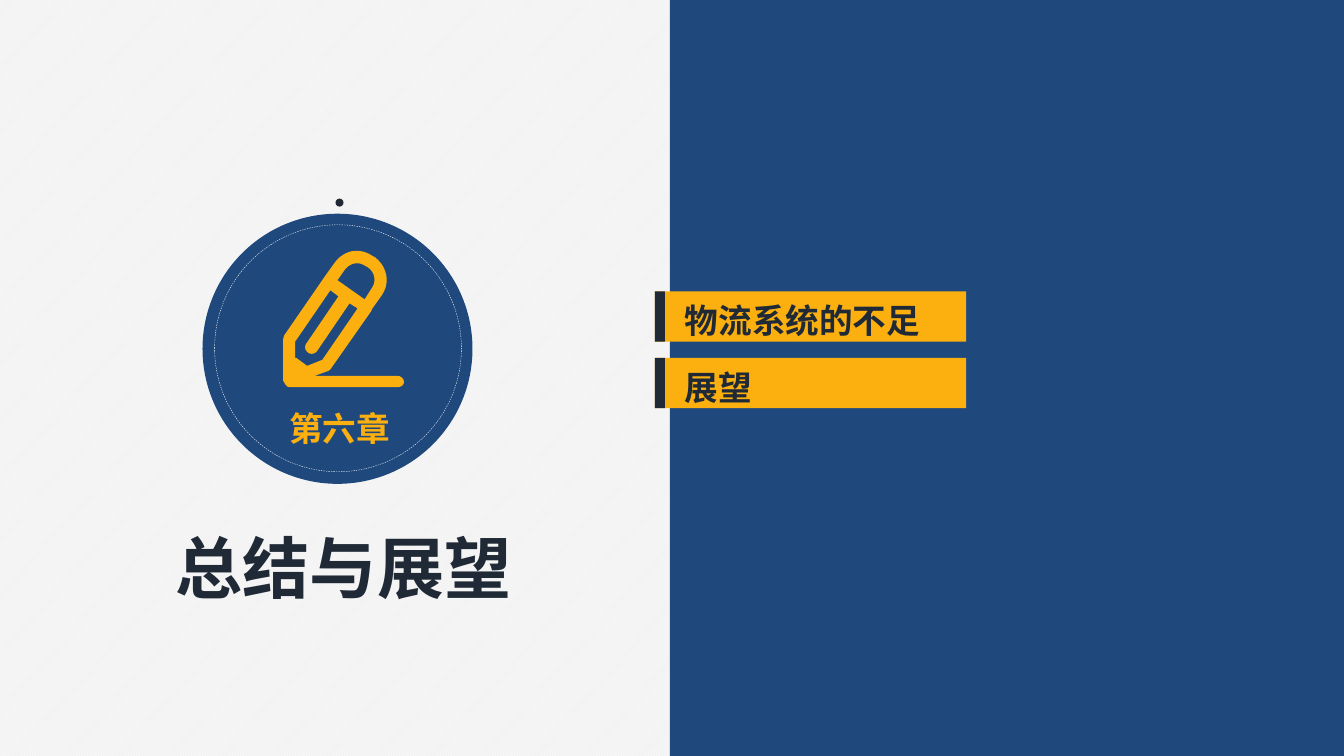
from dataclasses import dataclass

import lxml.etree
import pptx
import pptx.dml.color
import pptx.enum.dml
import pptx.enum.shapes
import pptx.enum.text
import pptx.oxml.ns
import pptx.shapes.autoshape
import pptx.slide
import pptx.util

Inches = pptx.util.Inches
RGBColor = pptx.dml.color.RGBColor
Shape = pptx.shapes.autoshape.Shape
Slide = pptx.slide.Slide
Preset = pptx.enum.shapes.MSO_SHAPE
Align = pptx.enum.text.PP_ALIGN
Anchor = pptx.enum.text.MSO_ANCHOR

NAVY = RGBColor(0x1F, 0x49, 0x7D)
AMBER = RGBColor(0xFC, 0xB0, 0x0F)
INK = RGBColor(0x20, 0x2A, 0x36)
WHITE = RGBColor(0xFF, 0xFF, 0xFF)
PALE = RGBColor(0xF2, 0xF2, 0xF2)
FONT = "Noto Sans CJK SC"

TOPIC_TOP = 2.89
TOPIC_STEP = 0.66
CURVE_STEPS = 10
UNITS_PER_INCH = 1000


@dataclass(frozen=True)
class Box:
    left: float
    top: float
    width: float
    height: float

    def lengths(self) -> tuple[int, ...]:
        return tuple(Inches(v) for v in (self.left, self.top, self.width, self.height))


@dataclass(frozen=True)
class Contour:
    """A closed outline; a step is a line end (x, y) or the six numbers of a Bézier curve."""

    start: tuple[float, float]
    steps: tuple[tuple[float, ...], ...]

    def points(self) -> list[tuple[float, float]]:
        points = [self.start]
        for step in self.steps:
            if len(step) == 2:
                points.append(step)
                continue
            controls = (points[-1], step[0:2], step[2:4], step[4:6])
            points += [bezier_point(controls, i / CURVE_STEPS) for i in range(1, CURVE_STEPS + 1)]
        return points


TOPICS = ("物流系统的不足", "展望")

PENCIL = (
    Contour((3.95, 3.73), (
        (3.12, 3.73), (3.26, 3.68), (3.27, 3.67, 3.28, 3.67, 3.29, 3.65),
        (3.69, 3.08), (3.69, 3.07), (3.79, 2.93), (3.88, 2.8, 3.84, 2.64, 3.72, 2.55),
        (3.7, 2.54), (3.57, 2.45, 3.41, 2.48, 3.32, 2.61), (3.22, 2.75), (2.82, 3.33),
        (2.82, 3.34, 2.81, 3.36, 2.81, 3.37), (2.81, 3.77),
        (2.81, 3.78, 2.82, 3.79, 2.83, 3.81), (2.84, 3.82, 2.85, 3.84, 2.87, 3.84),
        (3.95, 3.84), (3.98, 3.84, 4.01, 3.82, 4.01, 3.79),
        (4.01, 3.76, 3.98, 3.73, 3.95, 3.73),
    )),
    Contour((3.42, 2.68), (
        (3.47, 2.61, 3.56, 2.59, 3.63, 2.64), (3.65, 2.65),
        (3.72, 2.7, 3.74, 2.79, 3.69, 2.86), (3.62, 2.97), (3.35, 2.78),
    )),
    Contour((2.94, 3.55), (
        (2.93, 3.55), (2.93, 3.39), (3.28, 2.88), (3.36, 2.94), (3.04, 3.41),
        (3.02, 3.44, 3.03, 3.48, 3.06, 3.5), (3.09, 3.52, 3.13, 3.51, 3.15, 3.48),
        (3.47, 3.01), (3.55, 3.06), (3.2, 3.57), (3.05, 3.63),
    )),
)


def bezier_point(controls: tuple, t: float) -> tuple[float, float]:
    weights = ((1 - t) ** 3, 3 * t * (1 - t) ** 2, 3 * t**2 * (1 - t), t**3)
    return tuple(sum(w * c[axis] for w, c in zip(weights, controls)) for axis in (0, 1))


def paint(shape: Shape, fill: RGBColor | None) -> None:
    shape.shadow.inherit = False
    shape.line.fill.background()
    if fill is None:
        shape.fill.background()
    else:
        shape.fill.solid()
        shape.fill.fore_color.rgb = fill


def add_preset(page: Slide, preset: Preset, box: Box, fill: RGBColor | None = None) -> Shape:
    shape = page.shapes.add_shape(preset, *box.lengths())
    paint(shape, fill)
    return shape


def add_text(page: Slide, text: str, box: Box, *, size: int = 24, color: RGBColor = INK,
             align: Align = Align.LEFT, anchor: Anchor = Anchor.TOP, wrap: bool = False) -> None:
    frame = page.shapes.add_textbox(*box.lengths()).text_frame
    frame.word_wrap = wrap
    frame.vertical_anchor = anchor
    if not wrap:
        frame.auto_size = pptx.enum.text.MSO_AUTO_SIZE.SHAPE_TO_FIT_TEXT
    para = frame.paragraphs[0]
    para.alignment = align
    span = para.add_run()
    span.text = text
    span.font.size = pptx.util.Pt(size)
    span.font.bold = True
    span.font.color.rgb = color
    span.font.name = FONT
    east_asian = lxml.etree.SubElement(span.font._element, pptx.oxml.ns.qn("a:ea"))
    east_asian.set("typeface", FONT)


def add_outline(page: Slide, contours: tuple[Contour, ...], fill: RGBColor) -> None:
    builder = None
    for contour in contours:
        first, *rest = [(x * UNITS_PER_INCH, y * UNITS_PER_INCH) for x, y in contour.points()]
        if builder is None:
            builder = page.shapes.build_freeform(*first, scale=Inches(1) / UNITS_PER_INCH)
        else:
            builder.move_to(*first)
        builder.add_line_segments(rest, close=True)
    paint(builder.convert_to_shape(), fill)


def add_background(page: Slide) -> None:
    fill = page.background.fill
    fill.patterned()
    fill.pattern = pptx.enum.dml.MSO_PATTERN.LIGHT_UPWARD_DIAGONAL
    fill.fore_color.rgb = WHITE
    fill.back_color.rgb = PALE
    add_preset(page, Preset.RECTANGLE, Box(6.65, 0, 6.69, 7.5), NAVY)


def add_topic(page: Slide, text: str, top: float) -> None:
    add_preset(page, Preset.RECTANGLE, Box(6.5, top, 3.09, 0.5), AMBER)
    add_preset(page, Preset.RECTANGLE, Box(6.5, top, 0.1, 0.5), INK)
    add_text(page, text, Box(6.7, top + 0.04, 0.2 + len(text) / 3, 0.5))


def add_chapter_badge(page: Slide) -> None:
    add_preset(page, Preset.OVAL, Box(2.01, 2.12, 2.68, 2.68), NAVY)
    add_preset(page, Preset.OVAL, Box(3.33, 1.97, 0.08, 0.08), INK)
    add_text(page, "第六章", Box(2.07, 3.99, 2.6, 0.52), color=AMBER,
             align=Align.CENTER, anchor=Anchor.MIDDLE, wrap=True)
    ring = add_preset(page, Preset.OVAL, Box(2.13, 2.23, 2.45, 2.45))
    ring.line.color.rgb = WHITE
    ring.line.width = pptx.util.Pt(0.25)
    ring.line.dash_style = pptx.enum.dml.MSO_LINE.DASH
    add_outline(page, PENCIL, AMBER)


def main() -> None:
    deck = pptx.Presentation()
    deck.slide_width = Inches(13.34)
    deck.slide_height = Inches(7.5)
    page = deck.slides.add_slide(deck.slide_layouts[6])
    add_background(page)
    for index, topic in enumerate(TOPICS):
        add_topic(page, topic, TOPIC_TOP + index * TOPIC_STEP)
    add_chapter_badge(page)
    add_text(page, "总结与展望", Box(1.64, 5.17, 3.54, 0.91), size=48, align=Align.CENTER)
    deck.save("out.pptx")


if __name__ == "__main__":
    main()
